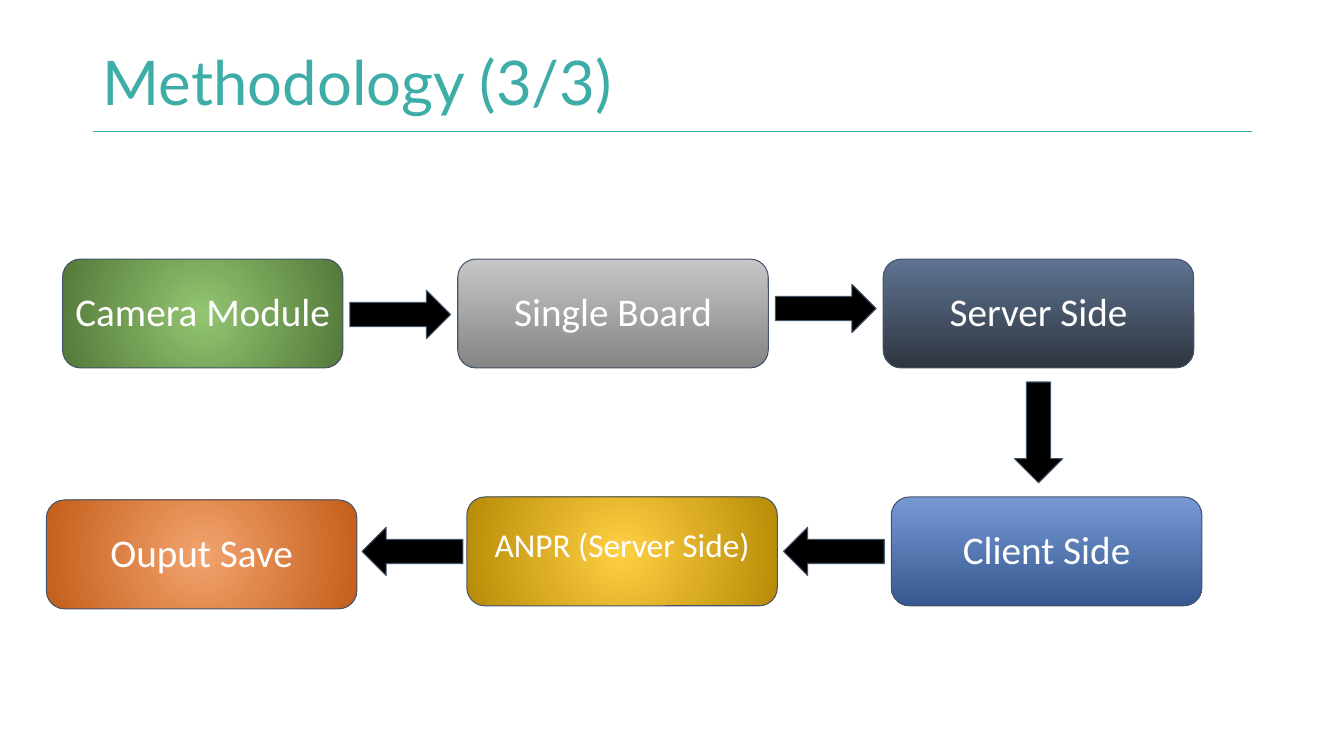
"""Build the methodology slide with its six-step flow."""
from lxml.etree import SubElement
from pptx import Presentation
from pptx.dml.color import RGBColor
from pptx.enum.shapes import MSO_CONNECTOR, MSO_SHAPE
from pptx.enum.text import MSO_ANCHOR, PP_ALIGN
from pptx.oxml.ns import qn
from pptx.util import Inches, Pt

TEAL = RGBColor(0x3E, 0xAD, 0xA7)
RULE = RGBColor(0x3D, 0xAC, 0xA7)
SLATE = RGBColor(0x44, 0x54, 0x6A)
BLACK = RGBColor(0, 0, 0)
WHITE = RGBColor(255, 255, 255)
GREEN = RGBColor(0x93, 0xC5, 0x71), RGBColor(0x54, 0x79, 0x3A)
GRAY = RGBColor(0xC6, 0xC6, 0xC6), RGBColor(0x85, 0x85, 0x85)
NAVY = RGBColor(0x5E, 0x74, 0x92), RGBColor(0x2F, 0x35, 0x3F)
BLUE = RGBColor(0x76, 0x99, 0xD4), RGBColor(0x37, 0x58, 0x91)
GOLD = RGBColor(0xFF, 0xD0, 0x42), RGBColor(0xB8, 0x8B, 0x07)
RUST = RGBColor(0xF2, 0xA3, 0x6E), RGBColor(0xC4, 0x5E, 0x1A)

TITLE = "Methodology (3/3)"
WIDE, HIGH = 3.08, 1.08
STEPS = [
    ("Camera Module", 0.62, 2.57, 2.78, 28, GREEN, True),
    ("Single Board", 4.54, 2.57, WIDE, 28, GRAY, False),
    ("Server Side", 8.76, 2.57, WIDE, 28, NAVY, False),
    ("Client Side", 8.84, 4.93, WIDE, 28, BLUE, False),
    ("ANPR (Server Side)", 4.63, 4.93, WIDE, 23.8, GOLD, True),
    ("Ouput Save", 0.46, 4.96, WIDE, 28, RUST, True),
]
ARROWS = [(3.47, 2.88, 0), (7.69, 2.82, 0), (9.8, 4.05, 90),
          (7.77, 5.23, 180), (3.59, 5.23, 180)]


def write(shape, text, font, size, color, align):
    frame = shape.text_frame
    frame.text = text
    frame.word_wrap = True
    frame.vertical_anchor = MSO_ANCHOR.MIDDLE
    para = frame.paragraphs[0]
    para.alignment = align
    para.line_spacing = 0.9
    face = para.runs[0].font
    face.name, face.size = font, Pt(size)
    face.color.rgb = color


def add_part(slide, kind, left, top, width, height):
    part = slide.shapes.add_shape(kind, Inches(left), Inches(top),
                                  Inches(width), Inches(height))
    part.shadow.inherit = False
    part.line.color.rgb = SLATE
    part.line.width = Pt(0.75)
    return part


def shade(shape, colors, radial):
    shape.fill.gradient()
    shape.fill.gradient_angle = 270
    for stop, color in zip(shape.fill.gradient_stops, colors):
        stop.color.rgb = color
    if radial:
        grad = shape._element.spPr.find(qn("a:gradFill"))
        grad.remove(grad.find(qn("a:lin")))
        ring = SubElement(grad, qn("a:path"), {"path": "circle"})
        SubElement(ring, qn("a:fillToRect"), dict.fromkeys("ltrb", "50000"))


def add_step(slide, text, left, top, width, size, colors, radial):
    box = add_part(slide, MSO_SHAPE.ROUNDED_RECTANGLE, left, top, width, HIGH)
    shade(box, colors, radial)
    write(box, text, "Calibri", size, WHITE, PP_ALIGN.CENTER)
    frame = box.text_frame
    frame.margin_left = frame.margin_right = Inches(0.02)
    if size < 28:
        frame.margin_bottom = Inches(0.15)


def add_arrow(slide, left, top, turn):
    arrow = add_part(slide, MSO_SHAPE.RIGHT_ARROW, left, top, 1, 0.48)
    arrow.rotation = turn
    arrow.fill.solid()
    arrow.fill.fore_color.rgb = BLACK


def add_head(slide):
    rule = slide.shapes.add_connector(MSO_CONNECTOR.STRAIGHT, Inches(0.92),
                                      Inches(1.3), Inches(12.42), Inches(1.3))
    rule.line.color.rgb = RULE
    rule.line.width = Pt(0.75)
    SubElement(rule._element.spPr, qn("a:effectLst"))
    head = slide.shapes.add_textbox(Inches(0.92), Inches(0.4),
                                    Inches(10.33), Inches(0.9))
    write(head, TITLE, "Lato", 44, TEAL, PP_ALIGN.LEFT)


def main():
    deck = Presentation()
    deck.slide_width, deck.slide_height = Inches(13.33), Inches(7.5)
    slide = deck.slides.add_slide(deck.slide_layouts[6])
    add_head(slide)
    for step in STEPS:
        add_step(slide, *step)
    for arrow in ARROWS:
        add_arrow(slide, *arrow)
    deck.save("out.pptx")


if __name__ == "__main__":
    main()
